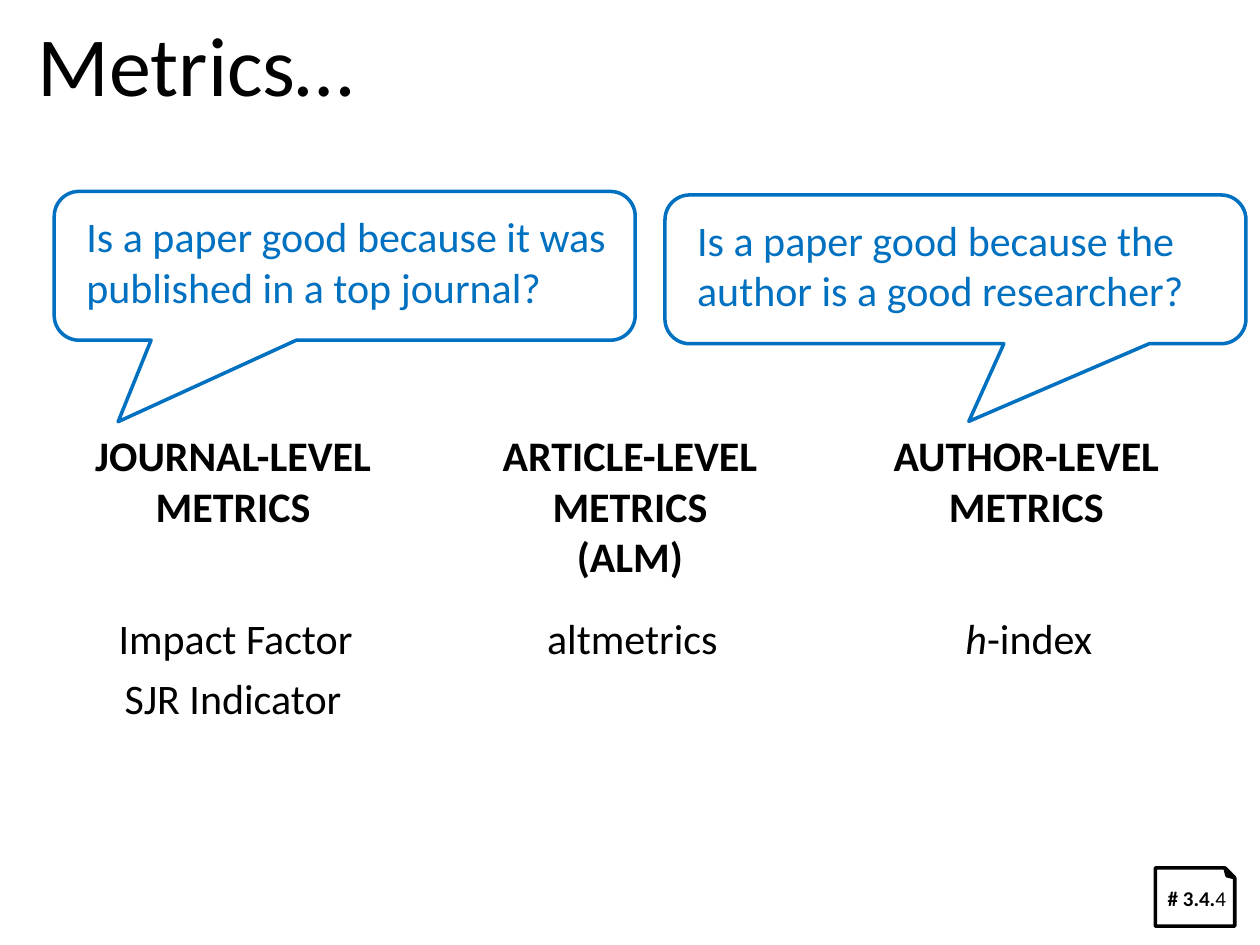
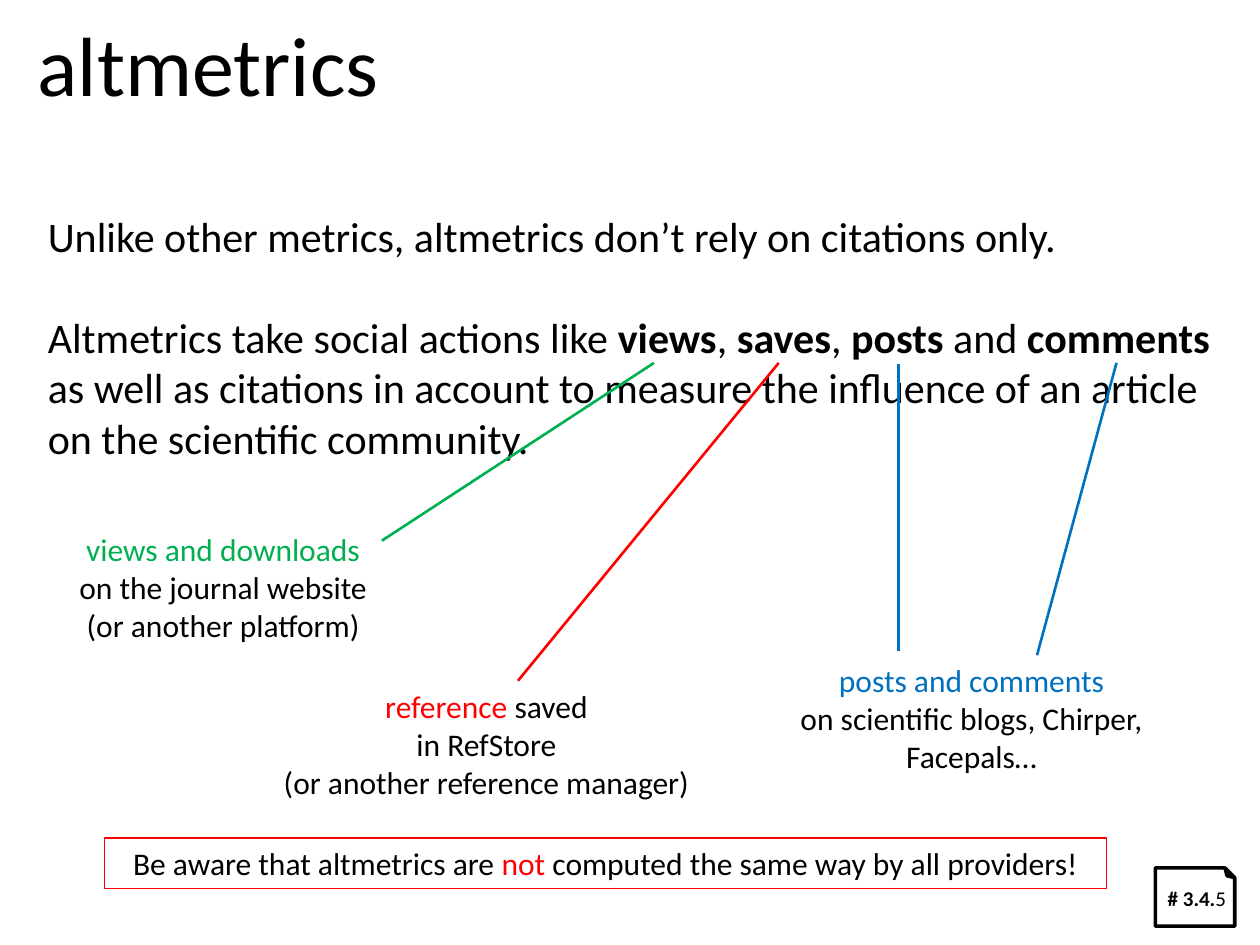
import pptx
import pptx.util
import pptx.dml.color
import pptx.enum.shapes
import pptx.enum.text
import lxml.etree

Pt = pptx.util.Pt
SHAPE = pptx.enum.shapes.MSO_SHAPE
ALIGN = pptx.enum.text.PP_ALIGN
BLACK = pptx.dml.color.RGBColor(0x00, 0x00, 0x00)
WHITE = pptx.dml.color.RGBColor(0xFF, 0xFF, 0xFF)
BLUE = pptx.dml.color.RGBColor(0x00, 0x70, 0xC0)
GREEN = pptx.dml.color.RGBColor(0x00, 0xB0, 0x50)
RED = pptx.dml.color.RGBColor(0xFF, 0x00, 0x00)
FONT = "Calibri"


def add_text(slide, paragraphs, left, top, width, height, size=24, color=BLACK, bold=False,
             align=ALIGN.LEFT, gap=0, wrap=True, holder=None):
    """Each paragraph is a string or a list of runs: a string or (string, font settings)."""
    holder = holder or slide.shapes.add_textbox(Pt(left), Pt(top), Pt(width), Pt(height))
    frame = holder.text_frame
    frame.word_wrap = wrap
    for number, runs in enumerate(paragraphs):
        paragraph = frame.add_paragraph() if number else frame.paragraphs[0]
        paragraph.alignment = align
        if number and gap:
            paragraph.space_before = Pt(gap)
        for part in [runs] if isinstance(runs, str) else runs:
            words, style = (part, {}) if isinstance(part, str) else part
            run = paragraph.add_run()
            run.text = words
            run.font.name = FONT
            run.font.size = Pt(size)
            run.font.bold = style.get("bold", bold)
            run.font.italic = style.get("italic", False)
            run.font.color.rgb = style.get("color", color)


def add_outline(slide, kind, left, top, width, height, color, weight, fill=None):
    shape = slide.shapes.add_shape(kind, Pt(left), Pt(top), Pt(width), Pt(height))
    shape.shadow.inherit = False
    if fill is None:
        shape.fill.background()
    else:
        shape.fill.solid()
        shape.fill.fore_color.rgb = fill
    shape.line.color.rgb = color
    shape.line.width = Pt(weight)
    return shape


deck = pptx.Presentation()
deck.slide_width, deck.slide_height = Pt(720), Pt(540)

# Shared title and page tag
slides = []
for title, page in (("Metrics…", "4"), ("altmetrics", "5")):
    slide = deck.slides.add_slide(deck.slide_layouts[6])
    add_text(slide, [title], 14.4, 3.6, 425, 65.5, size=48)
    tag = add_outline(slide, SHAPE.FOLDED_CORNER, 660.2, 496, 45.4, 33.2, BLACK, 2, WHITE)
    tag._element.spPr.xfrm.set("flipV", "1")
    add_text(slide, [[("# 3.4.", {"bold": True}), page]], 660.2, 502.5, 51, 21.6,
             size=12, wrap=False)
    slides.append(slide)
metrics, altmetrics = slides

# Three levels of metrics, with examples
levels = (
    (20.9, 224.6, ["JOURNAL-LEVEL", "METRICS"], ["Impact Factor"]),
    (247.7, 224.6, ["ARTICLE-LEVEL", "METRICS", "(ALM)"], ["altmetrics"]),
    (463, 247, ["AUTHOR-LEVEL", "METRICS"], [[("h", {"italic": True}), "-index"]]),
)
for left, width, heading, example in levels:
    add_text(metrics, heading, left, 242, width, 28.8 * len(heading) + 7.2,
             bold=True, align=ALIGN.CENTER)
    add_text(metrics, example, left + 1.4, 346.3, width, 36, align=ALIGN.CENTER)
add_text(metrics, ["SJR Indicator"], 20.9, 381, 224.6, 36, align=ALIGN.CENTER)

# Questions in callouts
questions = (
    (31, 109.4, (-0.39, 1.048), "Is a paper good because it was published in a top journal?"),
    (380, 111.4, (0.023, 1.022), "Is a paper good because the author is a good researcher?"),
)
for left, top, tail, question in questions:
    callout = add_outline(metrics, SHAPE.ROUNDED_RECTANGULAR_CALLOUT, left, top, 332, 85, BLUE, 2)
    callout.adjustments[0], callout.adjustments[1] = tail
    add_text(metrics, [question], left + 11.3, top + 7.6, 312.5, 65.5, color=BLUE)

# What altmetrics take into account
strong = {"bold": True}
add_text(altmetrics, [
    "Unlike other metrics, altmetrics don’t rely on citations only.",
    ["Altmetrics take social actions like ", ("views", strong), ", ", ("saves", strong), ", ",
     ("posts ", strong), "and ", ("comments", strong),
     " as well as citations in account to measure the influence of an article"
     " on the scientific community."],
], 20.2, 116.6, 685.5, 152.6, gap=29)

# Explanations of the social actions
explanations = (
    (31, 299.5, 193, [[("views and downloads", {"color": GREEN})],
                      "on the journal website", "(or another platform)"]),
    (150.5, 389, 255, [[("reference ", {"color": RED}), "saved"],
                       "in RefStore", "(or another reference manager)"]),
    (427.7, 374.4, 255, [[("posts and comments", {"color": BLUE})],
                         "on scientific blogs, Chirper, Facepals…"]),
)
for left, top, width, explanation in explanations:
    add_text(altmetrics, explanation, left, top, width, 72.7, size=18, align=ALIGN.CENTER)

# Lines from each action to its explanation
links = (
    (445, 207.4, 296, 389, RED),
    (373.7, 207.4, 218.2, 309, GREEN),
    (513.4, 208, 513.4, 372.2, BLUE),
    (638, 207.4, 592.6, 374.4, BLUE),
)
for x1, y1, x2, y2, color in links:
    link = altmetrics.shapes.add_connector(
        pptx.enum.shapes.MSO_CONNECTOR.STRAIGHT, Pt(x1), Pt(y1), Pt(x2), Pt(y2))
    link.line.color.rgb = color
    link.line.width = Pt(1.5)
    lxml.etree.SubElement(link._element.spPr, pptx.oxml.ns.qn("a:effectLst"))

# Warning
warning = add_outline(altmetrics, SHAPE.RECTANGLE, 59.8, 478.8, 572.4, 29, RED, 0.75)
add_text(altmetrics, [["Be aware that altmetrics are ", ("not ", {"color": RED}),
                       "computed the same way by all providers!"]],
         59.8, 478.8, 572.4, 29, size=18, align=ALIGN.CENTER, holder=warning)

deck.save("out.pptx")
